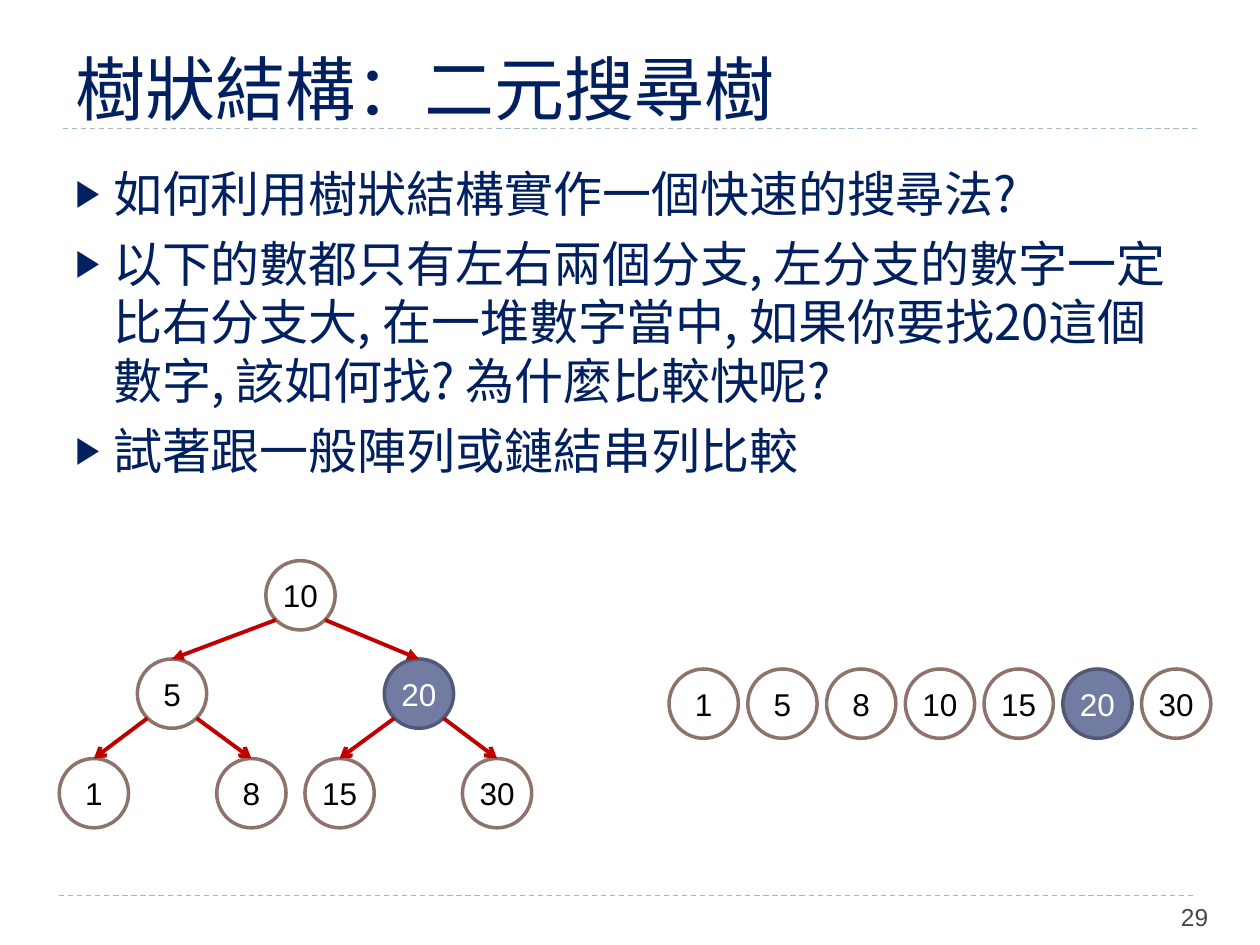
"""Build a slide comparing a binary search tree with a sorted array."""
from dataclasses import dataclass

import lxml.etree
import pptx
import pptx.dml.color
import pptx.enum.dml
import pptx.enum.shapes
import pptx.enum.text
import pptx.oxml
import pptx.oxml.ns
import pptx.shapes.autoshape
import pptx.shapes.connector
import pptx.slide
import pptx.text.text
import pptx.util

Inches = pptx.util.Inches
Pt = pptx.util.Pt
RGBColor = pptx.dml.color.RGBColor

WHITE = RGBColor(0xFF, 0xFF, 0xFF)
BLACK = RGBColor(0x00, 0x00, 0x00)
NAVY = RGBColor(0x00, 0x20, 0x60)
GRAY = RGBColor(0x46, 0x46, 0x53)
RULE_BLUE = RGBColor(0x9F, 0xB8, 0xCD)
NODE_BROWN = RGBColor(0x8E, 0x73, 0x6A)
TARGET_FILL = RGBColor(0x72, 0x7C, 0xA3)
TARGET_LINE = RGBColor(0x52, 0x59, 0x77)
ARROW_RED = RGBColor(0xC0, 0x00, 0x00)

LATIN_FONT = "Arial"
CHINESE_FONT = "Noto Sans CJK SC"
DIAMETER = 0.55
TARGET = 20
ARRAY_LEFT, ARRAY_TOP, ARRAY_STEP = 5.31, 5.31, 0.625
BULLETS = (
    "如何利用樹狀結構實作一個快速的搜尋法?",
    "以下的數都只有左右兩個分支, 左分支的數字一定比右分支大, 在一堆數字當中, "
    "如果你要找20這個數字, 該如何找? 為什麼比較快呢?",
    "試著跟一般陣列或鏈結串列比較",
)


@dataclass(frozen=True)
class Node:
    value: int
    left: float
    top: float


@dataclass(frozen=True)
class Edge:
    parent: int
    child: int
    head: str


TREE = (
    Node(10, 2.11, 4.45),
    Node(5, 1.09, 5.23),
    Node(20, 3.05, 5.23),
    Node(1, 0.47, 6.02),
    Node(8, 1.72, 6.02),
    Node(15, 2.42, 6.02),
    Node(30, 3.67, 6.02),
)
EDGES = (
    Edge(10, 5, "triangle"),
    Edge(10, 20, "triangle"),
    Edge(5, 1, "arrow"),
    Edge(5, 8, "arrow"),
    Edge(20, 15, "arrow"),
    Edge(20, 30, "arrow"),
)


def format_runs(paragraph: pptx.text.text._Paragraph, size: float, color: RGBColor, font_name: str = LATIN_FONT) -> None:
    for run in paragraph.runs:
        run.font.size = Pt(size)
        run.font.name = font_name
        run.font.color.rgb = color
        east_asian = pptx.oxml.parse_xml(
            f'<a:ea {pptx.oxml.ns.nsdecls("a")} typeface="{CHINESE_FONT}"/>'
        )
        run.font._element.find(pptx.oxml.ns.qn("a:latin")).addnext(east_asian)


def add_text(slide: pptx.slide.Slide, left: float, top: float, width: float, height: float, text: str) -> pptx.text.text.TextFrame:
    text_frame = slide.shapes.add_textbox(Inches(left), Inches(top), Inches(width), Inches(height)).text_frame
    text_frame.word_wrap = True
    text_frame.text = text
    return text_frame


def add_bullet(paragraph: pptx.text.text._Paragraph) -> None:
    properties = paragraph._p.get_or_add_pPr()
    properties.set("marL", str(Inches(0.3)))
    properties.set("indent", str(Inches(-0.3)))
    for tag, attribute, value in (("buSzPct", "val", "76000"), ("buFont", "typeface", LATIN_FONT), ("buChar", "char", "▶")):
        lxml.etree.SubElement(properties, pptx.oxml.ns.qn(f"a:{tag}")).set(attribute, value)


def add_line(slide: pptx.slide.Slide, start: tuple[float, float], end: tuple[float, float], color: RGBColor, width: float) -> pptx.shapes.connector.Connector:
    connector = slide.shapes.add_connector(
        pptx.enum.shapes.MSO_CONNECTOR.STRAIGHT, *(Inches(value) for value in (*start, *end))
    )
    connector.line.color.rgb = color
    connector.line.width = Pt(width)
    lxml.etree.SubElement(connector._element.spPr, pptx.oxml.ns.qn("a:effectLst"))
    return connector


def add_rule(slide: pptx.slide.Slide, left: float, top: float) -> None:
    rule = add_line(slide, (left, top), (left + 9, top), RULE_BLUE, 0.75)
    rule.line.dash_style = pptx.enum.dml.MSO_LINE.DASH


def add_node(slide: pptx.slide.Slide, node: Node) -> pptx.shapes.autoshape.Shape:
    is_target = node.value == TARGET
    shape = slide.shapes.add_shape(
        pptx.enum.shapes.MSO_SHAPE.OVAL, Inches(node.left), Inches(node.top), Inches(DIAMETER), Inches(DIAMETER)
    )
    shape.shadow.inherit = False
    shape.fill.solid()
    shape.fill.fore_color.rgb = TARGET_FILL if is_target else WHITE
    shape.line.color.rgb = TARGET_LINE if is_target else NODE_BROWN
    shape.line.width = Pt(2)
    text_frame = shape.text_frame
    text_frame.margin_left = text_frame.margin_right = Inches(0)
    text_frame.vertical_anchor = pptx.enum.text.MSO_ANCHOR.MIDDLE
    text_frame.text = str(node.value)
    paragraph = text_frame.paragraphs[0]
    paragraph.alignment = pptx.enum.text.PP_ALIGN.CENTER
    format_runs(paragraph, 18, WHITE if is_target else BLACK)
    return shape


def add_edge(slide: pptx.slide.Slide, parent: Node, child: Node, child_shape: pptx.shapes.autoshape.Shape, head: str) -> None:
    inset = 0.08
    start_x = parent.left + (inset if child.left < parent.left else DIAMETER - inset)
    start = (start_x, parent.top + DIAMETER - inset)
    connector = add_line(slide, start, (child.left + DIAMETER / 2, child.top), ARROW_RED, 2.25)
    connector.end_connect(child_shape, 0)
    line_element = connector.line._get_or_add_ln()
    lxml.etree.SubElement(line_element, pptx.oxml.ns.qn("a:tailEnd")).set("type", head)


def add_tree(slide: pptx.slide.Slide) -> None:
    nodes = {node.value: node for node in TREE}
    shapes = {node.value: add_node(slide, node) for node in TREE}
    for edge in EDGES:
        add_edge(slide, nodes[edge.parent], nodes[edge.child], shapes[edge.child], edge.head)


def add_array(slide: pptx.slide.Slide) -> None:
    for index, value in enumerate(sorted(node.value for node in TREE)):
        add_node(slide, Node(value, ARRAY_LEFT + index * ARRAY_STEP, ARRAY_TOP))


def main() -> None:
    presentation = pptx.Presentation()
    presentation.slide_width, presentation.slide_height = Inches(10), Inches(7.5)
    slide = presentation.slides.add_slide(presentation.slide_layouts[6])
    add_rule(slide, 0.47, 7.11)
    add_rule(slide, 0.5, 1.02)

    title = add_text(slide, 0.5, 0.39, 9, 0.69, "樹狀結構：二元搜尋樹")
    title.vertical_anchor = pptx.enum.text.MSO_ANCHOR.BOTTOM
    format_runs(title.paragraphs[0], 40, NAVY)

    body = add_text(slide, 0.5, 1.25, 9, 5.48, "\n".join(BULLETS))
    for index, paragraph in enumerate(body.paragraphs):
        add_bullet(paragraph)
        paragraph.space_before = Pt(6 if index else 0)
        format_runs(paragraph, 28, NAVY, CHINESE_FONT)

    page_number = add_text(slide, 9.22, 7.11, 0.7, 0.4, " 29")
    format_runs(page_number.paragraphs[0], 14, GRAY)
    add_tree(slide)
    add_array(slide)
    presentation.save("out.pptx")


if __name__ == "__main__":
    main()
